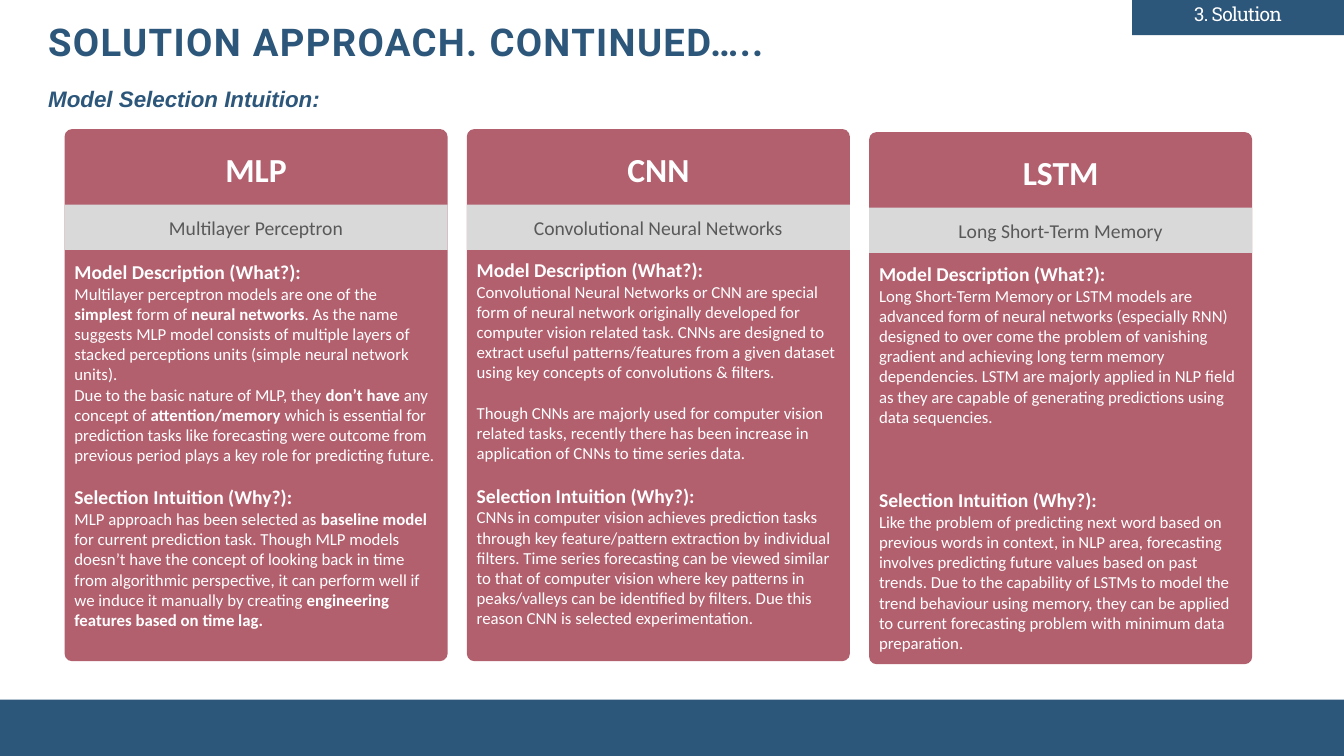
from pptx import Presentation
from pptx.dml.color import RGBColor
from pptx.enum.shapes import MSO_SHAPE as Shape
from pptx.enum.text import MSO_ANCHOR as Anchor, PP_ALIGN as Align
from pptx.util import Inches, Pt

NAVY = RGBColor(0x2C, 0x56, 0x7A)
ROSE = RGBColor(0xB2, 0x60, 0x6E)
SILVER = RGBColor(0xD9, 0xD9, 0xD9)
GREY = RGBColor(0x59, 0x59, 0x59)
WHITE = RGBColor(0xFF, 0xFF, 0xFF)

TITLE = "SOLUTION APPROACH. CONTINUED….."
SECTION = "3. Solution"
SUBTITLE = "Model Selection Intuition:"
WHAT = "Model Description (What?):"
WHY = "Selection Intuition (Why?):"

MODELS = [
    {
        "short": "MLP", "full": "Multilayer Perceptron",
        "top": 1.28, "body_top": 2.53, "paragraph_gap": 0, "why_gap": 14.6,
        "what": [
            "Multilayer perceptron models are one of the **simplest** form of **neural networks**. "
            "As the name suggests MLP model consists of multiple layers of stacked perceptions units "
            "(simple neural network units).",
            "Due to the basic nature of MLP, they **don’t have **any concept of **attention/memory** "
            "which is essential for prediction tasks like forecasting were outcome from previous "
            "period plays a key role for predicting future.",
        ],
        "why": "MLP approach has been selected as **baseline model** for current prediction task. "
               "Though MLP models doesn’t have the concept of looking back in time from algorithmic "
               "perspective, it can perform well if we induce it manually by creating "
               "**engineering features based on time lag.**",
    },
    {
        "short": "CNN", "full": "Convolutional Neural Networks",
        "top": 1.28, "body_top": 2.51, "paragraph_gap": 14.6, "why_gap": 14.6,
        "what": [
            "Convolutional Neural Networks or CNN are special form of neural network originally "
            "developed for computer vision related task. CNNs are designed to extract useful "
            "patterns/features from a given dataset using key concepts of convolutions & filters.",
            "Though CNNs are majorly used for computer vision related tasks, recently there has "
            "been increase in application of CNNs to time series data.",
        ],
        "why": "CNNs in computer vision achieves prediction tasks through key feature/pattern "
               "extraction by individual filters. Time series forecasting can be viewed similar to "
               "that of computer vision where key patterns in peaks/valleys can be identified by "
               "filters. Due this reason CNN is selected experimentation.",
    },
    {
        "short": "LSTM", "full": "Long Short-Term Memory",
        "top": 1.31, "body_top": 2.55, "paragraph_gap": 0, "why_gap": 43.9,
        "what": [
            "Long Short-Term Memory or LSTM models are advanced form of neural networks (especially "
            "RNN) designed to over come the problem of vanishing gradient and achieving long term "
            "memory dependencies. LSTM are majorly applied in NLP field as they are capable of "
            "generating predictions using data sequencies.",
        ],
        "why": "Like the problem of predicting next word based on previous words in context, in NLP "
               "area, forecasting involves predicting future values based on past trends. Due to the "
               "capability of LSTMs to model the trend behaviour using memory, they can be applied to "
               "current forecasting problem with minimum data preparation.",
    },
]

SLIDE_W, SLIDE_H = 13.33, 7.5
CARD_LEFT, CARD_STEP, CARD_W, CARD_H = 0.64, 3.99, 3.8, 5.28
NAME_W = 2.41
BODY_H = 3.8


def add_block(parent, kind, box, color):
    block = parent.add_shape(kind, *map(Inches, box))
    block.shadow.inherit = False
    block.fill.solid()
    block.fill.fore_color.rgb = color
    block.line.fill.background()
    return block


def add_box(parent, box):
    return parent.add_textbox(*map(Inches, box))


def write(holder, text, font="Calibri", size=12, color=WHITE, bold=False, italic=False,
          align=Align.LEFT, anchor=Anchor.TOP, line=None, spacing=0, gap=0):
    frame = holder.text_frame
    frame.word_wrap = True
    frame.vertical_anchor = anchor
    paragraph = frame.add_paragraph() if frame.text else frame.paragraphs[0]
    paragraph.alignment = align
    if line:
        paragraph.line_spacing = line
    if gap:
        paragraph.space_before = Pt(gap)
    for index, part in enumerate(text.split("**")):
        if not part:
            continue
        run = paragraph.add_run()
        run.text = part
        run.font.name = font
        run.font.size = Pt(size)
        run.font.bold = bold or index % 2 == 1
        run.font.italic = italic
        run.font.color.rgb = color
        if spacing:
            run.font._element.set("spc", str(int(spacing * 100)))


def add_card(shapes, left, model):
    top = model["top"]
    card = shapes.add_group_shape().shapes
    panel = add_block(card, Shape.ROUNDED_RECTANGLE, (left, top, CARD_W, CARD_H), ROSE)
    panel.adjustments[0] = 0.02
    band = add_block(card, Shape.RECTANGLE, (left, top + 0.75, CARD_W, 0.45), SILVER)
    write(band, model["full"], size=14, color=GREY, align=Align.CENTER, anchor=Anchor.MIDDLE)
    name = add_box(card, (left + (CARD_W - NAME_W) / 2, top + 0.15, NAME_W, 0.5))
    write(name, model["short"], size=24, bold=True, align=Align.CENTER)

    body = add_box(shapes, (left, model["body_top"], CARD_W, BODY_H))
    write(body, WHAT, size=14, bold=True)
    for index, text in enumerate(model["what"]):
        write(body, text, gap=model["paragraph_gap"] if index else 0)
    write(body, WHY, size=14, bold=True, gap=model["why_gap"])
    write(body, model["why"])


def main():
    deck = Presentation()
    deck.slide_width, deck.slide_height = Inches(SLIDE_W), Inches(SLIDE_H)
    shapes = deck.slides.add_slide(deck.slide_layouts[6]).shapes

    write(add_box(shapes, (0.38, 0.22, 11, 0.49)), TITLE, font="Roboto", size=27.3,
          color=NAVY, bold=True, line=0.8, spacing=1)
    add_block(shapes, Shape.RECTANGLE, (0, 6.94, SLIDE_W, 0.56), NAVY)
    section = add_block(shapes, Shape.RECTANGLE, (11.23, 0, 2.1, 0.35), NAVY)
    write(section, SECTION, font="Roboto Slab", size=13.7, align=Align.CENTER,
          line=0.9, spacing=-0.5)
    write(add_box(shapes, (0.38, 0.8, 6.67, 0.37)), SUBTITLE, font="Arial", size=16,
          color=NAVY, bold=True, italic=True)

    for column, model in enumerate(MODELS):
        add_card(shapes, CARD_LEFT + column * CARD_STEP, model)

    deck.save("out.pptx")


if __name__ == "__main__":
    main()
